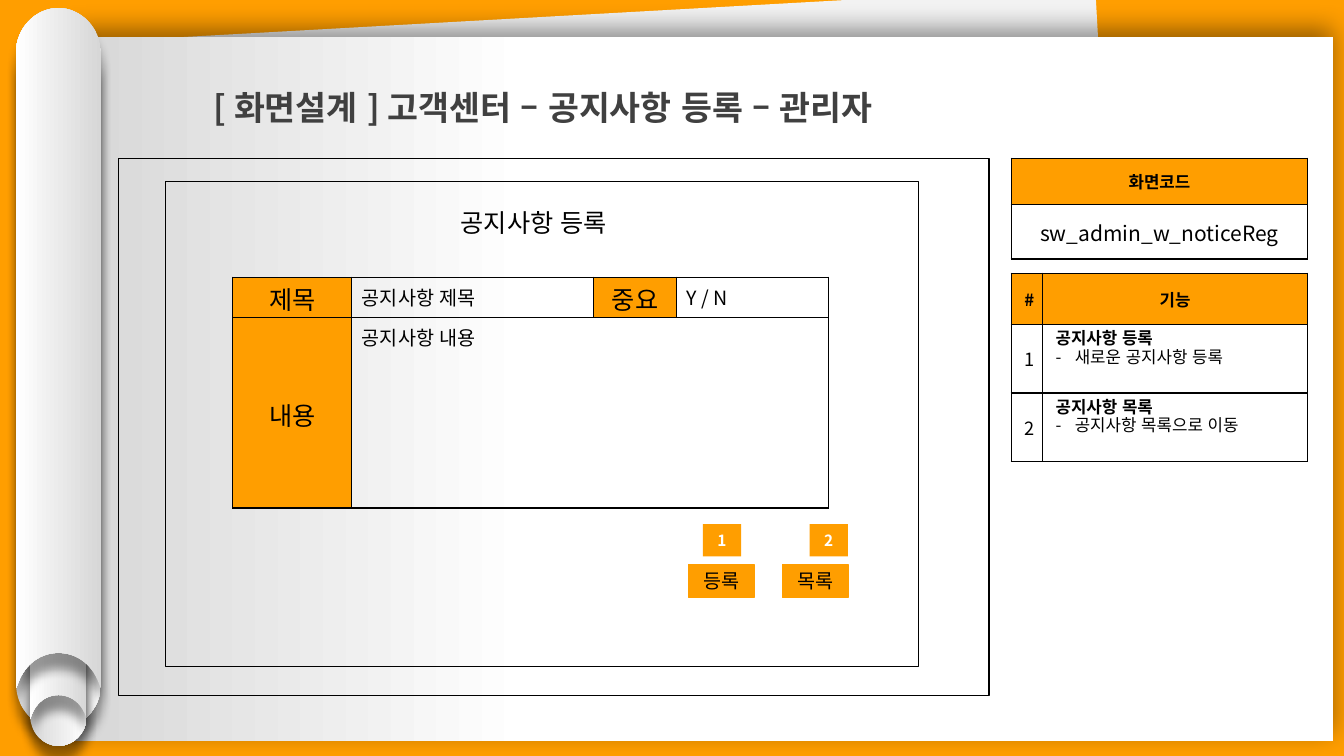
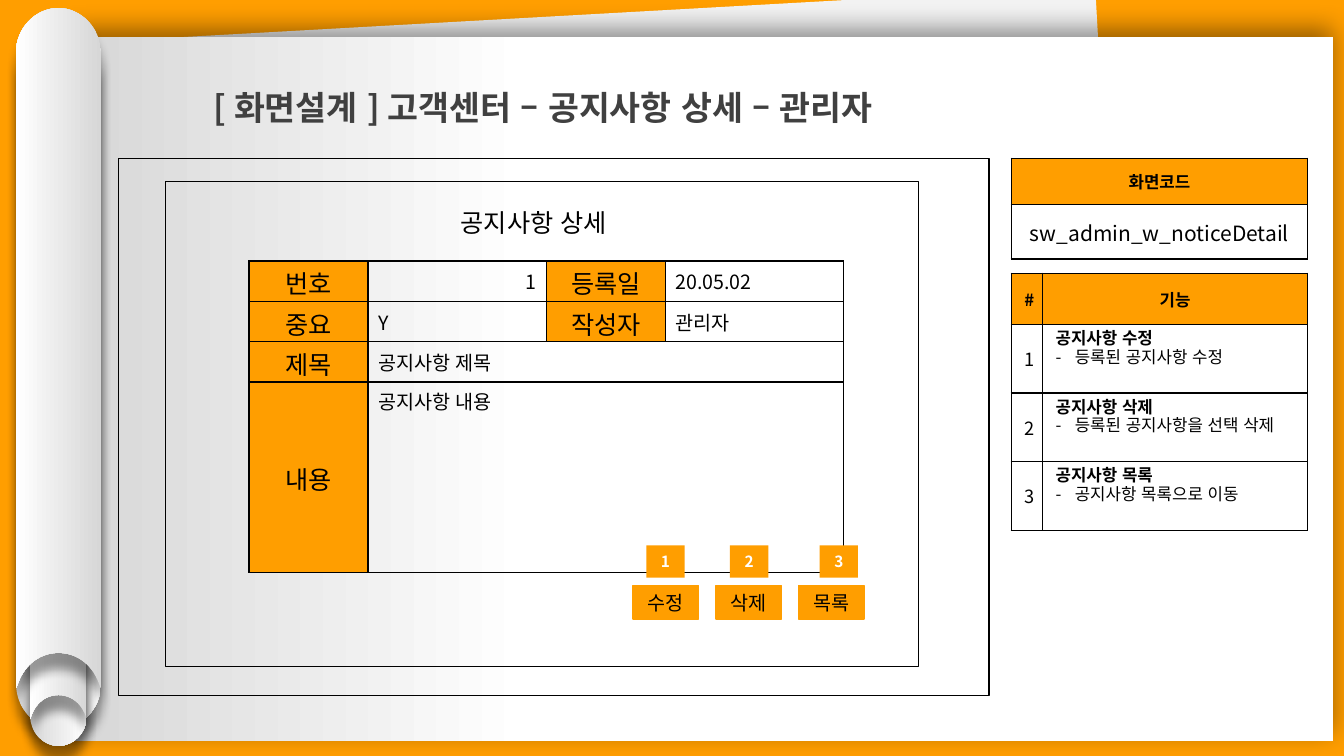
from lxml.etree import SubElement
from pptx import Presentation
from pptx.dml.color import RGBColor
from pptx.enum.lang import MSO_LANGUAGE_ID as LANG
from pptx.enum.shapes import MSO_SHAPE as SHAPE
from pptx.enum.text import MSO_ANCHOR as ANCHOR, PP_ALIGN as ALIGN
from pptx.oxml.ns import qn
from pptx.util import Inches, Pt

FONT = "Noto Sans CJK KR"
COLORS = {"accent": "FF9E00", "paper": "F2F2F2", "white": "FFFFFF",
          "shade": "D7D7D7", "title": "404040", "black": "000000"}
RGB = {name: RGBColor.from_string(value) for name, value in COLORS.items()}

# kind: size, bold, align, anchor, filled, side margin, top margin, bottom margin
CELLS = {
    "label": (18, False, ALIGN.CENTER, ANCHOR.MIDDLE, True, 0.1, 0.03, 0),
    "value": (14, False, ALIGN.LEFT, ANCHOR.MIDDLE, False, 0.1, 0.05, 0.05),
    "number": (14, False, ALIGN.RIGHT, ANCHOR.MIDDLE, False, 0.1, 0.05, 0.05),
    "body": (14, False, ALIGN.LEFT, ANCHOR.TOP, False, 0.1, 0.05, 0.05),
    "head": (12, True, ALIGN.CENTER, ANCHOR.MIDDLE, True, 0.13, 0.07, 0.07),
    "index": (13, False, ALIGN.CENTER, ANCHOR.MIDDLE, False, 0.13, 0.07, 0.07),
    "code": (15, False, ALIGN.CENTER, ANCHOR.MIDDLE, False, 0.13, 0.07, 0.07),
    "feature": (12, True, ALIGN.LEFT, ANCHOR.TOP, False, 0.13, 0.07, 0.07),
}

PAGES = [
    {"name": "등록", "code": "sw_admin_w_noticeReg",
     "form": (2.31, 2.75, [1.18, 2.4, 0.82, 1.51], [0.4, 1.89], [
         [("제목", "label"), ("공지사항 제목", "value"), ("중요", "label"), ("Y / N", "value")],
         [("내용", "label"), ("공지사항 내용", "body"), None, None]]),
     "button_top": 5.6,
     "buttons": [(6.83, 6.97, "등록"), (7.76, 8.03, "목록")],
     "features": ["공지사항 등록\n새로운 공지사항 등록",
                  "공지사항 목록\n공지사항 목록으로 이동"]},
    {"name": "상세", "code": "sw_admin_w_noticeDetail",
     "form": (2.47, 2.59, [1.18, 1.77, 1.18, 1.77], [0.4, 0.4, 0.4, 1.89], [
         [("번호", "label"), ("1", "number"), ("등록일", "label"), ("20.05.02", "value")],
         [("중요", "label"), ("Y", "value"), ("작성자", "label"), ("관리자", "value")],
         [("제목", "label"), ("공지사항 제목", "value"), None, None],
         [("내용", "label"), ("공지사항 내용", "body"), None, None]]),
     "button_top": 5.81,
     "buttons": [(6.28, 6.41, "수정"), (7.1, 7.24, "삭제"), (7.92, 8.13, "목록")],
     "features": ["공지사항 수정\n등록된 공지사항 수정",
                  "공지사항 삭제\n등록된 공지사항을 선택 삭제",
                  "공지사항 목록\n공지사항 목록으로 이동"]},
]


def style_text(p, size, color="black", bold=False, align=ALIGN.LEFT):
    p.alignment = align
    for r in p.runs:
        r.font.size = Pt(size)
        r.font.bold = bold
        r.font.color.rgb = RGB[color]
        r.font.name = FONT
        r.font.language_id = LANG.KOREAN
        rPr = r._r.get_or_add_rPr()
        rPr.set("kern", "0")
        SubElement(rPr, qn("a:ea"), typeface=FONT)


def add_box(s, x, y, w, h, fill=None, line=None, width=1, text="", size=14, color="black", bold=False):
    sp = s.shapes.add_shape(SHAPE.RECTANGLE, Inches(x), Inches(y), Inches(w), Inches(h))
    sp.shadow.inherit = False
    if fill:
        sp.fill.solid()
        sp.fill.fore_color.rgb = RGB[fill]
    else:
        sp.fill.background()
    if line:
        sp.line.color.rgb = RGB[line]
        sp.line.width = Pt(width)
    else:
        sp.line.fill.background()
    if text:
        tf = sp.text_frame
        tf.margin_left = tf.margin_right = tf.margin_top = tf.margin_bottom = 0
        tf.vertical_anchor = ANCHOR.MIDDLE
        tf.text = text
        style_text(tf.paragraphs[0], size, color, bold, ALIGN.CENTER)
    return sp


prs = Presentation()
prs.slide_width, prs.slide_height = Inches(13.33), Inches(7.5)
layout = prs.slide_layouts[5]
layout.background.fill.solid()
layout.background.fill.fore_color.rgb = RGB["accent"]
title = layout.placeholders[0]
title.left, title.top, title.width, title.height = [Inches(v) for v in (2.02, 0.61, 9.61, 0.66)]

slides = [prs.slides.add_slide(layout) for _ in PAGES]

s = slides[0]
sheet = add_box(s, 0.91, 0.14, 10.15, 6.8, "paper")
sheet.rotation = 356.8
panel = add_box(s, 0.73, 0.37, 12.49, 6.98, "white")
backdrop = [sheet, panel]
shaded = [(panel, "white", 0.64, "shade", 18, 6, 270)]

for x, y, w, h, rotation in [(0.16, 0.48, 0.84, 6.75, 180), (0.3, 2.88, 0.56, 4.52, 180),
                             (0.3, 2.61, 0.56, 4.52, 0), (0.16, 0.08, 0.84, 6.75, 0)]:
    end = h / w
    segments = [
        [(0.77, 0), (1, 0.24), (1, 0.52)],
        [(1, end)],
        [(0.97, end - 0.08)],
        [(0.89, end - 0.29), (0.71, end - 0.42), (0.5, end - 0.42)],
        [(0.29, end - 0.42), (0.11, end - 0.29), (0.03, end - 0.08)],
        [(0, end)],
        [(0, 0.52)],
        [(0, 0.24), (0.23, 0), (0.5, 0)],
    ]
    builder = s.shapes.build_freeform(Inches(x + w / 2), Inches(y))
    builder.add_line_segments([(Inches(x + w * px), Inches(y + w * py))
                               for px, py in [segment[-1] for segment in segments]])
    roll = builder.convert_to_shape()
    for step, segment in zip(list(roll._element.iter(qn("a:lnTo"))), segments):
        if len(segment) == 3:
            step.tag = qn("a:cubicBezTo")
            step.remove(step[0])
            for px, py in segment:
                SubElement(step, qn("a:pt"), x=str(Inches(w * px)), y=str(Inches(w * py)))
    roll.rotation = rotation
    roll.line.fill.background()
    roll.shadow.inherit = False
    backdrop.append(roll)
    shaded.append((roll, "shade", 0, "white", 7, 11, 90))

for sp, first, start, last, blur, distance, direction in shaded:
    sp.fill.gradient()
    sp.fill.gradient_angle = 180
    for stop, color, position in zip(sp.fill.gradient_stops, (first, last), (start, 1)):
        stop.color.rgb = RGB[color]
        stop.position = position
    effects = sp._element.spPr.find(qn("a:effectLst"))
    shadow = SubElement(effects, qn("a:outerShdw"), blurRad=str(Pt(blur)), dist=str(Pt(distance)),
                        dir=str(direction * 60000), algn="ctr", rotWithShape="0")
    tint = SubElement(shadow, qn("a:srgbClr"), val=COLORS["black"])
    SubElement(tint, qn("a:alpha"), val="40000")

for i, sp in enumerate(backdrop):
    layout.shapes._spTree.insert(2 + i, sp._element)

for s, page in zip(slides, PAGES):
    tf = s.shapes.title.text_frame
    tf.word_wrap = True
    tf.vertical_anchor = ANCHOR.TOP
    tf.text = f"[ 화면설계 ] 고객센터 – 공지사항 {page['name']} – 관리자"
    tf.paragraphs[0].line_spacing = 1.5
    style_text(tf.paragraphs[0], 24, "title", True)

    add_box(s, 1.18, 1.57, 8.63, 5.33, line="black", width=0.75)
    tb = s.shapes.add_textbox(Inches(1.92), Inches(1.95), Inches(6.75), Inches(4.17))
    tf = tb.text_frame
    tf.word_wrap = True
    tf.margin_top = Inches(0.11)
    tf.text = f"공지사항 {page['name']}"
    style_text(tf.paragraphs[0], 18, align=ALIGN.CENTER)
    add_box(s, 1.64, 1.8, 7.47, 4.81, line="black")

    features = page["features"]
    tables = [
        page["form"],
        (10.03, 1.57, [2.94], [0.46, 0.54], [[("화면코드", "head")], [(page["code"], "code")]]),
        (10.03, 2.71, [0.31, 2.63], [0.51] + [0.68] * len(features),
         [[("#", "head"), ("기능", "head")]]
         + [[(str(n), "index"), (text, "feature")] for n, text in enumerate(features, 1)]),
    ]
    for x, y, widths, heights, rows in tables:
        table = s.shapes.add_table(len(rows), len(widths), Inches(x), Inches(y),
                                   Inches(sum(widths)), Inches(sum(heights))).table
        table.first_row = table.horz_banding = False
        for column, width in zip(table.columns, widths):
            column.width = Inches(width)
        for row, height in zip(table.rows, heights):
            row.height = Inches(height)
        for i, row in enumerate(rows):
            if None in row:
                table.cell(i, row.index(None) - 1).merge(table.cell(i, len(row) - 1))
            for j, content in enumerate(row):
                cell = table.cell(i, j)
                tcPr = cell._tc.get_or_add_tcPr()
                for side in ("lnL", "lnR", "lnT", "lnB"):
                    ln = SubElement(tcPr, qn(f"a:{side}"), w=str(Pt(1)))
                    SubElement(SubElement(ln, qn("a:solidFill")), qn("a:srgbClr"), val=COLORS["black"])
                cell.fill.background()
                if content is None:
                    continue
                text, kind = content
                size, bold, align, anchor, filled, side_margin, top_margin, bottom_margin = CELLS[kind]
                if filled:
                    cell.fill.solid()
                    cell.fill.fore_color.rgb = RGB["accent"]
                cell.vertical_anchor = anchor
                cell.margin_left = cell.margin_right = Inches(side_margin)
                cell.margin_top, cell.margin_bottom = Inches(top_margin), Inches(bottom_margin)
                cell.text_frame.text = text
                for n, p in enumerate(cell.text_frame.paragraphs):
                    if kind == "feature":
                        p.line_spacing = Pt(13)
                    if n:
                        pPr = p._p.get_or_add_pPr()
                        pPr.set("marL", str(Inches(0.19)))
                        pPr.set("indent", str(Inches(-0.19)))
                        SubElement(pPr, qn("a:buFont"), typeface=FONT)
                        SubElement(pPr, qn("a:buChar"), char="-")
                    style_text(p, size, bold=bold and n == 0, align=align)

    top = page["button_top"]
    for n, (x, badge_x, label) in enumerate(page["buttons"], 1):
        add_box(s, x, top, 0.65, 0.33, "accent", "accent", text=label)
        add_box(s, badge_x, top - 0.4, 0.38, 0.32, "accent", text=str(n), size=11, color="white", bold=True)

prs.save("out.pptx")
